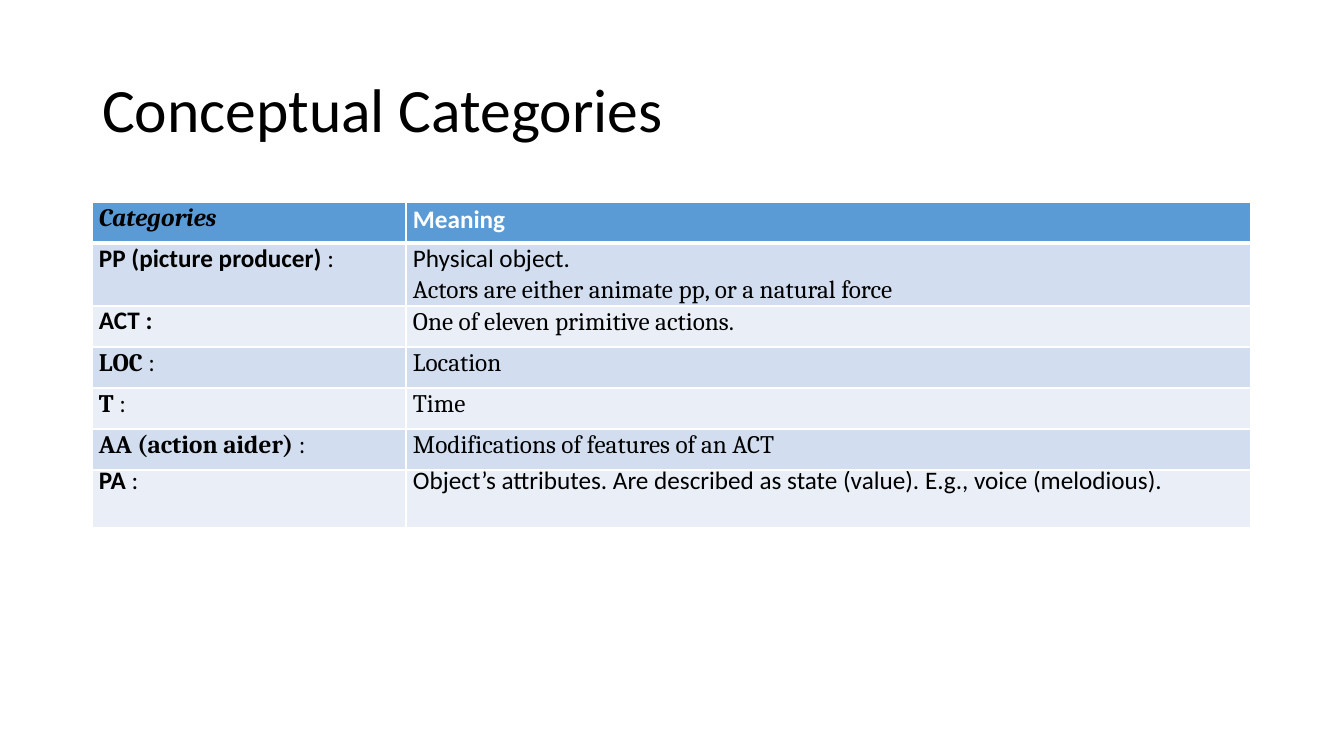
import dataclasses
import pptx
import pptx.dml.color
import pptx.enum.text
import pptx.oxml
import pptx.oxml.ns
import pptx.util

PX = 914400 / 100.8


@dataclasses.dataclass
class Theme:
    sans: str = "Calibri"
    serif: str = "Cambria"
    ink: str = "000000"
    white: str = "FFFFFF"
    head: str = "5B9BD5"
    bands: tuple = ("D2DEEF", "EAEFF7")
    big: int = 44
    small: int = 18
    thin: int = 1
    thick: int = 3


@dataclasses.dataclass
class Line:
    text: str
    font: str
    gap: object = 1.07
    bold: bool = False
    slant: bool = False
    tail: str = ""
    just: bool = False
    ink: str = Theme.ink


def emu(px):
    return pptx.util.Emu(round(px * PX))


def rgb(code):
    return pptx.dml.color.RGBColor.from_string(code)


class Board:
    def __init__(self, deck, theme):
        self.theme = theme
        self.slide = deck.slides.add_slide(deck.slide_layouts[5])

    def style(self, run, font, size, ink, bold=False, slant=False):
        run.font.name = font
        run.font.size = pptx.util.Pt(size)
        run.font.color.rgb = rgb(ink)
        run.font.bold = bold
        run.font.italic = slant

    def title(self, text, left, top, width, height):
        shape = self.slide.shapes.title
        shape.left, shape.top = emu(left), emu(top)
        shape.width, shape.height = emu(width), emu(height)
        frame = shape.text_frame
        frame.text = text
        frame.word_wrap = True
        frame.vertical_anchor = pptx.enum.text.MSO_ANCHOR.MIDDLE
        para = frame.paragraphs[0]
        para.alignment = pptx.enum.text.PP_ALIGN.LEFT
        para.line_spacing = 0.9
        self.style(para.runs[0], self.theme.sans, self.theme.big, self.theme.ink)

    def border(self, cell, row):
        props = cell._tc.get_or_add_tcPr()
        space = pptx.oxml.ns.nsdecls("a")
        heavy = {0: "B", 1: "T"}.get(row)
        for side in "LRTB":
            points = self.theme.thick if side == heavy else self.theme.thin
            props.append(pptx.oxml.parse_xml(
                f'<a:ln{side} {space} w="{pptx.util.Pt(points)}"><a:solidFill>'
                f'<a:srgbClr val="{self.theme.white}"/></a:solidFill></a:ln{side}>'))

    def fill(self, para, line):
        align = pptx.enum.text.PP_ALIGN
        para.text = line.text
        para.alignment = align.JUSTIFY if line.just else align.LEFT
        para.line_spacing = line.gap
        size = self.theme.small
        self.style(para.runs[0], line.font, size, line.ink, line.bold, line.slant)
        if line.tail:
            run = para.add_run()
            run.text = line.tail
            self.style(run, line.font, size, line.ink)

    def cell(self, cell, lines, row):
        cell.margin_left = cell.margin_right = emu(7)
        cell.margin_top = cell.margin_bottom = 0
        self.border(cell, row)
        cell.fill.solid()
        shade = self.theme.bands[(row - 1) % 2] if row else self.theme.head
        cell.fill.fore_color.rgb = rgb(shade)
        frame = cell.text_frame
        for num, line in enumerate(lines):
            self.fill(frame.add_paragraph() if num else frame.paragraphs[0], line)

    def table(self, rows, left, top, widths, heights):
        table = self.slide.shapes.add_table(
            len(rows), len(widths), emu(left), emu(top),
            emu(sum(widths)), emu(sum(heights))).table
        for column, width in zip(table.columns, widths):
            column.width = emu(width)
        for num, (row, height) in enumerate(zip(rows, heights)):
            table.rows[num].height = emu(height)
            for col, lines in enumerate(row):
                self.cell(table.cell(num, col), lines, num)


def label(text, font, gap=1.07):
    return [Line(text, font, gap, bold=True, tail=":")]


def sense(text, font):
    return [Line(text, font, just=True)]


def main():
    theme = Theme()
    sans, serif = theme.sans, theme.serif
    fixed = pptx.util.Pt(18.9)
    rows = [
        ([Line("Categories", serif, bold=True, slant=True)],
         [Line("Meaning", sans, bold=True, just=True, ink=theme.white)]),
        (label("PP (picture producer) ", sans, 1.0),
         [Line("Physical object.", sans, 1.0)]
         + sense("Actors are either animate pp, or a natural force", serif)),
        ([Line("ACT :", sans, 1.0, bold=True)],
         sense("One of eleven primitive actions.", serif)),
        (label("LOC ", serif), sense("Location", serif)),
        (label("T ", serif), sense("Time", serif)),
        (label("AA (action aider) ", serif),
         sense("Modifications of features of an ACT", serif)),
        (label("PA ", sans, fixed),
         [Line("Object’s attributes. Are described as state (value). "
               "E.g., voice (melodious).", sans, fixed)]),
    ]
    deck = pptx.Presentation()
    deck.slide_width, deck.slide_height = emu(1344), emu(756)
    board = Board(deck, theme)
    board.title("Conceptual Categories", 92, 40, 1159, 146)
    board.table(rows, 92, 202, [314, 845], [41, 63, 41, 41, 41, 41, 58])
    deck.save("out.pptx")


if __name__ == "__main__":
    main()
